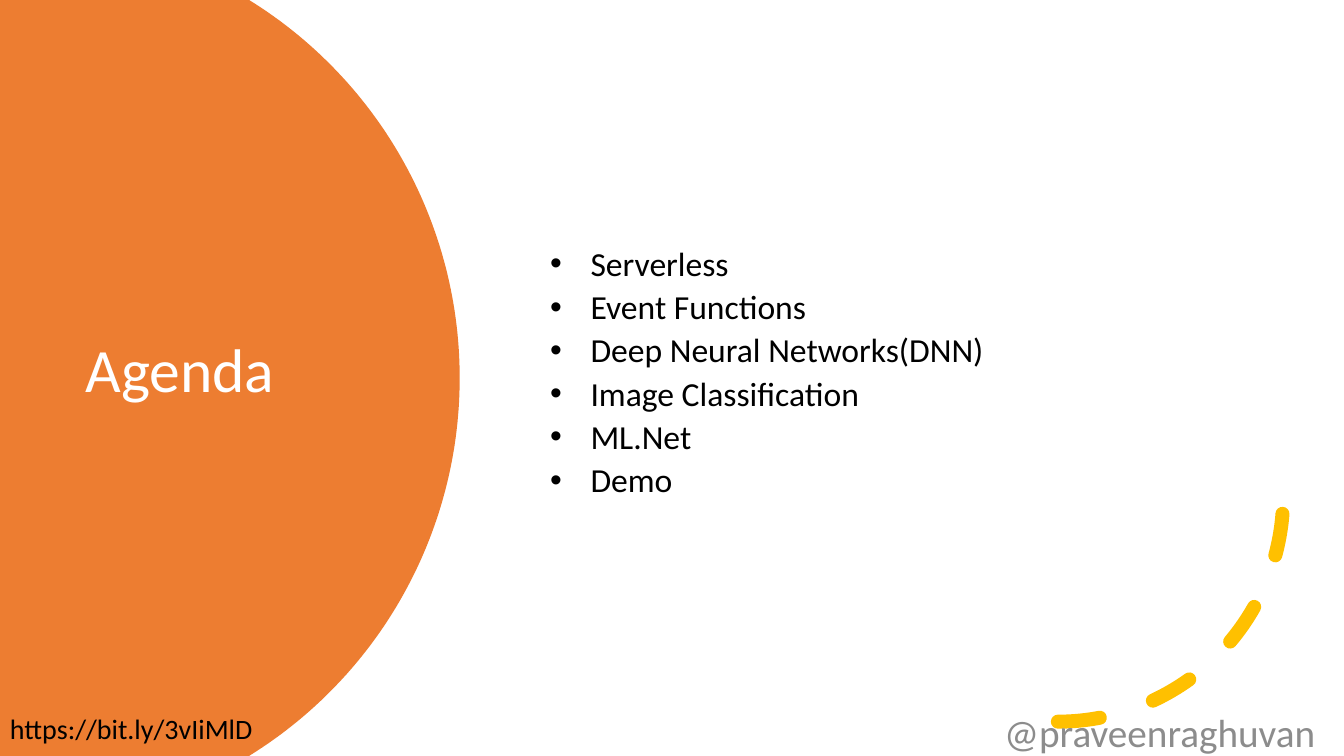
"""Build the agenda slide with a round side panel, a topic list and a dashed arc."""
import math

import pptx
import pptx.dml.color
import pptx.enum.dml
import pptx.enum.shapes
import pptx.enum.text
import pptx.oxml.ns
import pptx.util
from lxml import etree

WIDTH, HEIGHT = pptx.util.Inches(13.33), pptx.util.Inches(7.5)
COLUMN, ROW = WIDTH / 40, HEIGHT / 30
ORANGE, YELLOW = "ED7D31", "FFC000"
WHITE, BLACK, GREY = "FFFFFF", "000000", "8C8C8C"
ANCHOR, ALIGN = pptx.enum.text.MSO_ANCHOR, pptx.enum.text.PP_ALIGN
TOPICS = ["Serverless", "Event Functions", "Deep Neural Networks(DNN)",
          "Image Classification", "ML.Net", "Demo"]


def color(value):
    """Return the colour for a hex string."""
    return pptx.dml.color.RGBColor.from_string(value)


def grid(left, top, width, height):
    """Turn columns and rows into slide lengths."""
    return [round(length) for length in
            (left * COLUMN, top * ROW, width * COLUMN, height * ROW)]


def apply(target, values):
    """Set every format value on the target."""
    for name, value in values.items():
        setattr(target, name, value)


def add_bullet(paragraph, margin, hanging):
    """Give the paragraph a round bullet with a hanging indent in inches."""
    properties = paragraph._p.get_or_add_pPr()
    properties.set("marL", str(pptx.util.Inches(margin)))
    properties.set("indent", str(-pptx.util.Inches(hanging)))
    font = etree.SubElement(properties, pptx.oxml.ns.qn("a:buFont"))
    font.set("typeface", "Arial")
    bullet = etree.SubElement(properties, pptx.oxml.ns.qn("a:buChar"))
    bullet.set("char", "•")


def add_text(slide, box, lines, size, ink, anchor=ANCHOR.MIDDLE,
             layout=None, gap=0, bullets=False):
    """Add a wrapped text box with one paragraph a line."""
    frame = slide.shapes.add_textbox(*grid(*box)).text_frame
    apply(frame, {"word_wrap": True, "vertical_anchor": anchor})
    for index, line in enumerate(lines):
        paragraph = frame.add_paragraph() if index else frame.paragraphs[0]
        apply(paragraph, layout or {})
        if index and gap:
            paragraph.space_before = pptx.util.Pt(gap)
        if bullets:
            add_bullet(paragraph, 0.9, 0.4)
        run = paragraph.add_run()
        run.text = line
        apply(run.font, {"name": "Calibri", "size": pptx.util.Pt(size)})
        run.font.color.rgb = color(ink)


def add_round_panel(slide, center, radius, fill, steps=120):
    """Fill the part of a large circle that shows right of the slide's left edge."""
    limit = math.asin(HEIGHT / 2 / (radius * ROW))
    angles = [limit * (2 * step / steps - 1) for step in range(steps + 1)]
    points = [(round((center + radius * math.cos(angle)) * ROW),
               round(HEIGHT / 2 + radius * math.sin(angle) * ROW))
              for angle in angles]
    builder = slide.shapes.build_freeform(0, 0)
    builder.add_line_segments(points + [(0, HEIGHT)], close=True)
    panel = builder.convert_to_shape()
    panel.shadow.inherit = False
    panel.fill.solid()
    panel.fill.fore_color.rgb = color(fill)
    panel.line.fill.background()


def add_dashed_arc(slide, box, ink, width):
    """Add a quarter arc, flipped downwards, with round dashes."""
    kind = pptx.enum.shapes.MSO_SHAPE.ARC
    arc = slide.shapes.add_shape(kind, *grid(*box))
    arc.shadow.inherit = False
    arc.fill.background()
    arc.line.color.rgb = color(ink)
    apply(arc.line, {"width": pptx.util.Pt(width),
                     "dash_style": pptx.enum.dml.MSO_LINE.DASH})
    arc.line._get_or_add_ln().set("cap", "rnd")
    arc._element.spPr.find(pptx.oxml.ns.qn("a:xfrm")).set("flipV", "1")


def main():
    """Build and save the slide."""
    presentation = pptx.Presentation()
    apply(presentation, {"slide_width": WIDTH, "slide_height": HEIGHT})
    slide = presentation.slides.add_slide(presentation.slide_layouts[6])
    tight = {"line_spacing": 0.9}
    add_round_panel(slide, 0.6, 17.64, ORANGE)
    add_text(slide, (2.25, 5.04, 12.75, 19.52), ["Agenda"], 44, WHITE, layout=tight)
    add_dashed_arc(slide, (24.78, 10.76, 13.41, 17.88), YELLOW, 10)
    add_text(slide, (14.58, 2.6, 22.65, 24.44), TOPICS, 24, BLACK,
             layout=tight, gap=5, bullets=True)
    add_text(slide, (0, 28.04, 7.98, 1.76), ["https://bit.ly/3vIiMlD"], 20, BLACK,
             anchor=ANCHOR.TOP)
    add_text(slide, (29.37, 28.24, 10.29, 1.6), ["@praveenraghuvan"], 28, GREY,
             layout={"alignment": ALIGN.CENTER})
    presentation.save("out.pptx")


if __name__ == "__main__":
    main()
